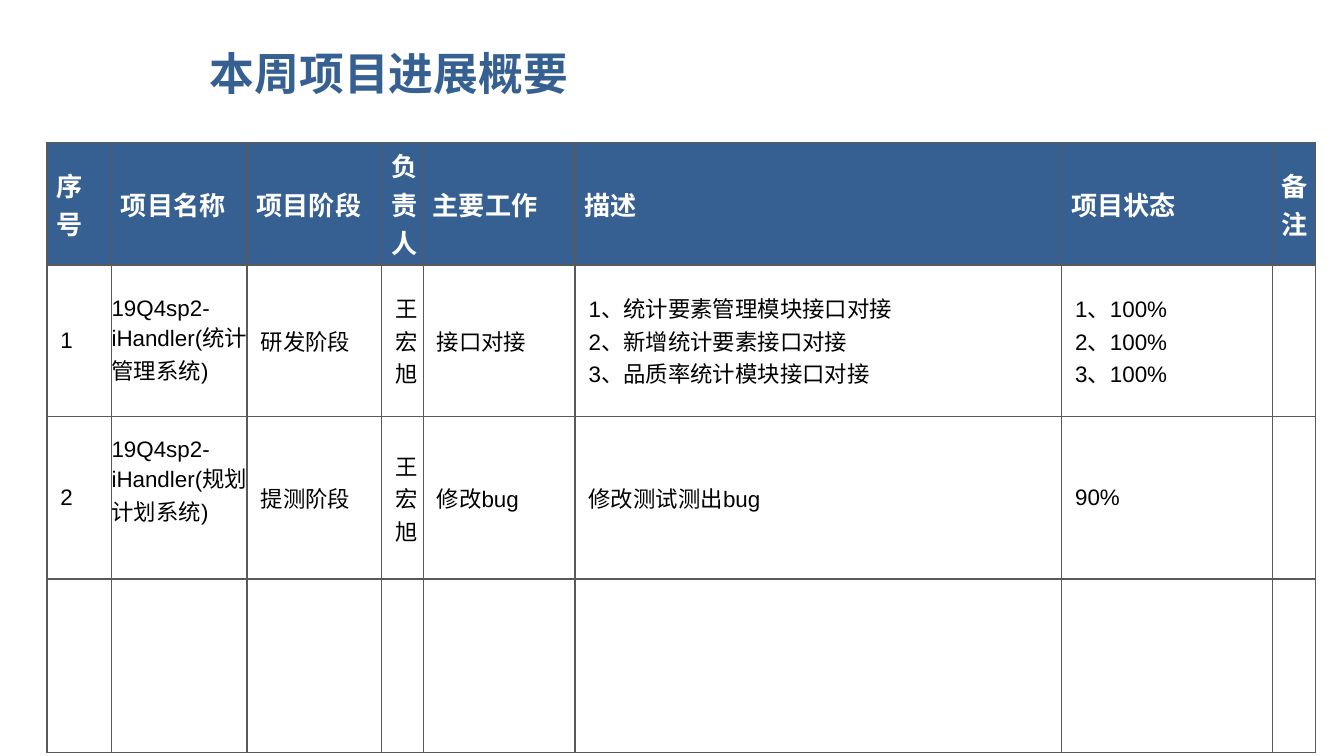
from dataclasses import dataclass

from lxml.etree import SubElement
from pptx import Presentation
from pptx.dml.color import RGBColor
from pptx.enum.text import MSO_ANCHOR as Anchor, PP_ALIGN as Align
from pptx.oxml.ns import qn
from pptx.util import Inches, Pt

BLUE, WHITE, BLACK, GREY = "376092", "FFFFFF", "000000", "595959"
CJK = "Noto Sans CJK SC"


@dataclass(frozen=True)
class Style:
    size: int
    color: str
    bold: bool
    margin_x: float
    margin_y: float
    font: str = "Arial"


TITLE = Style(24, BLUE, True, 0.1, 0.05, CJK)
HEAD = Style(14, WHITE, True, 0.07, 0.03)
BODY = Style(12, BLACK, False, 0.1, 0.05)
NAME = Style(12, BLACK, False, 0, 0)

COLS = [0.48, 1.01, 1, 0.31, 1.13, 3.62, 1.57, 0.32]
ROWS = [0.71, 1.13, 1.21, 1.29]
NAME_COL = 1
CELLS = [
    ["序号", "项目名称", "项目阶段", "负责人", "主要工作", "描述", "项目状态", "备注"],
    ["1", "19Q4sp2-iHandler(统计管理系统)", "研发阶段", "王宏旭", "接口对接",
     "1、统计要素管理模块接口对接\n2、新增统计要素接口对接\n3、品质率统计模块接口对接",
     "1、100%\n2、100%\n3、100%", ""],
    ["2", "19Q4sp2-iHandler(规划计划系统)", "提测阶段", "王宏旭", "修改bug",
     "修改测试测出bug", "90%", ""],
    [""] * len(COLS),
]


def rgb(color: str) -> RGBColor:
    return RGBColor.from_string(color)


def write(tf, text: str, style: Style) -> None:
    """Fill a text frame, one paragraph per line."""
    tf.text = text
    for p in tf.paragraphs:
        p.alignment = Align.LEFT
        for r in p.runs:
            values = {"size": Pt(style.size), "bold": style.bold, "name": style.font}
            for key, value in values.items():
                setattr(r.font, key, value)
            r.font.color.rgb = rgb(style.color)
            SubElement(r.font._element, qn("a:ea"), typeface=CJK)


def set_margins(box, style: Style) -> None:
    for side in ("left", "right"):
        setattr(box, f"margin_{side}", Inches(style.margin_x))
    for side in ("top", "bottom"):
        setattr(box, f"margin_{side}", Inches(style.margin_y))


def add_borders(cell) -> None:
    """Line the four sides of a cell."""
    tc_pr = cell._tc.get_or_add_tcPr()
    for i, side in enumerate(("L", "R", "T", "B")):
        ln = tc_pr.makeelement(qn(f"a:ln{side}"), {"w": str(Pt(1))})
        fill = SubElement(ln, qn("a:solidFill"))
        SubElement(fill, qn("a:srgbClr"), val=GREY)
        tc_pr.insert(i, ln)


def add_progress_table(s) -> None:
    table = s.shapes.add_table(len(ROWS), len(COLS), Inches(0.35), Inches(1.06),
                               Inches(sum(COLS)), Inches(sum(ROWS))).table
    table.horz_banding = False
    for col, width in zip(table.columns, COLS):
        col.width = Inches(width)
    for row, height in zip(table.rows, ROWS):
        row.height = Inches(height)

    for i, texts in enumerate(CELLS):
        for j, text in enumerate(texts):
            cell = table.cell(i, j)
            style = HEAD if i == 0 else NAME if j == NAME_COL else BODY
            cell.vertical_anchor = Anchor.MIDDLE
            set_margins(cell, style)
            write(cell.text_frame, text, style)
            cell.fill.solid()
            cell.fill.fore_color.rgb = rgb(BLUE if i == 0 else WHITE)
            add_borders(cell)

    # The second project's name sits a little above the middle
    table.cell(2, NAME_COL).margin_bottom = Inches(0.24)


def main() -> None:
    prs = Presentation()
    prs.slide_width = Inches(10)
    prs.slide_height = Inches(10 * 9 / 16)
    s = prs.slides.add_slide(prs.slide_layouts[5])

    # Title
    title = s.shapes.title
    box = {"left": 1.46, "top": 0.23, "width": 8.03, "height": 0.62}
    for key, value in box.items():
        setattr(title, key, Inches(value))
    tf = title.text_frame
    tf.vertical_anchor = Anchor.MIDDLE
    set_margins(tf, TITLE)
    write(tf, "本周项目进展概要", TITLE)

    # Weekly progress
    add_progress_table(s)
    prs.save("out.pptx")


if __name__ == "__main__":
    main()
